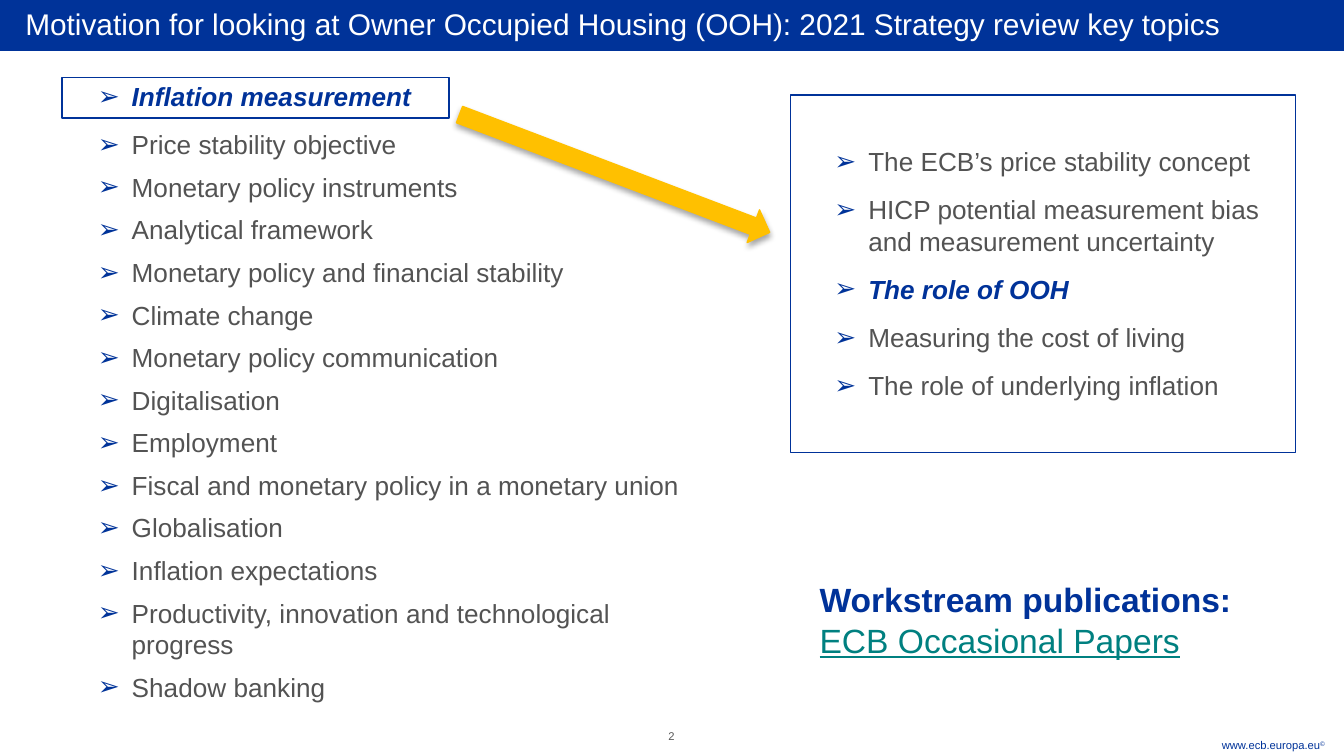
from dataclasses import dataclass

from lxml.etree import SubElement
from pptx import Presentation
from pptx.dml.color import RGBColor
from pptx.enum.shapes import MSO_SHAPE
from pptx.enum.text import MSO_ANCHOR, PP_ALIGN
from pptx.oxml.ns import qn
from pptx.util import Cm, Pt

COLORS = {
    "blue": "003399",
    "navy": "003299",
    "grey": "535353",
    "page": "585858",
    "white": "FFFFFF",
    "gold": "FFC000",
    "teal": "008080",
    "black": "000000",
}
FONT = "Arial"


@dataclass
class Box:
    left: float
    top: float
    width: float
    height: float


@dataclass
class Item:
    text: str
    key: bool = False
    after: float = 3


def rgb(name: str) -> RGBColor:
    return RGBColor.from_string(COLORS[name])


def place(box: Box) -> tuple:
    return Cm(box.left), Cm(box.top), Cm(box.width), Cm(box.height)


def add_run(para, text: str, size: float, color: str,
            bold: bool = False, slant: bool = False):
    run = para.add_run()
    run.text = text
    font = run.font
    font.name, font.size = FONT, Pt(size)
    font.bold, font.italic = bold, slant
    font.color.rgb = rgb(color)
    return run


def add_box(slide, box: Box, pad: tuple = (0, 0)):
    """Add a wrapped text box; pad is (side, top and bottom) in cm."""
    frame = slide.shapes.add_textbox(*place(box)).text_frame
    frame.word_wrap = True
    frame.vertical_anchor = MSO_ANCHOR.TOP
    frame.margin_left = frame.margin_right = Cm(pad[0])
    frame.margin_top = frame.margin_bottom = Cm(pad[1])
    return frame


def add_form(slide, kind, box: Box, line: str, fill: str | None = None):
    form = slide.shapes.add_shape(kind, *place(box))
    form.shadow.inherit = False
    if fill:
        form.fill.solid()
        form.fill.fore_color.rgb = rgb(fill)
    else:
        form.fill.background()
    form.line.color.rgb = rgb(line)
    form.line.width = Pt(0.75)
    return form


def add_list(frame, items: list[Item]) -> None:
    for i, item in enumerate(items):
        para = frame.add_paragraph() if i else frame.paragraphs[0]
        para.alignment = PP_ALIGN.LEFT
        props = para._p.get_or_add_pPr()
        props.set("marL", str(Cm(1.47)))
        props.set("indent", str(Cm(-0.64)))
        tint = SubElement(props, qn("a:buClr"))
        SubElement(tint, qn("a:srgbClr"), val=COLORS["blue"])
        SubElement(props, qn("a:buFont"), typeface=FONT)
        SubElement(props, qn("a:buChar"), char="➢")
        if i:
            para.space_before = Pt(3)
        para.space_after = Pt(item.after)
        color = "navy" if item.key else "grey"
        add_run(para, item.text, 14, color, item.key, item.key)


def add_shade(form) -> None:
    """Give the form a soft shadow below it."""
    glow = form._element.spPr.find(qn("a:effectLst"))
    shade = SubElement(glow, qn("a:outerShdw"), blurRad=str(Pt(3.1)),
                       dist=str(Pt(1.8)), dir="5400000", rotWithShape="0")
    tint = SubElement(shade, qn("a:srgbClr"), val=COLORS["black"])
    SubElement(tint, qn("a:alpha"), val="35000")


TOPICS = [Item("Inflation measurement", True, 6)] + [Item(text) for text in (
    "Price stability objective",
    "Monetary policy instruments",
    "Analytical framework",
    "Monetary policy and financial stability",
    "Climate change",
    "Monetary policy communication",
    "Digitalisation",
    "Employment",
    "Fiscal and monetary policy in a monetary union",
    "Globalisation",
    "Inflation expectations",
    "Productivity, innovation and technological progress",
    "Shadow banking",
)]
POINTS = [
    Item("The ECB’s price stability concept", after=6),
    Item("HICP potential measurement bias and measurement uncertainty", after=6),
    Item("The role of OOH", True, 6),
    Item("Measuring the cost of living", after=6),
    Item("The role of underlying inflation", after=6),
]


def main() -> None:
    deck = Presentation()
    deck.slide_width, deck.slide_height = Cm(25.4), Cm(14.29)
    slide = deck.slides.add_slide(deck.slide_layouts[6])

    # Title bar
    add_form(slide, MSO_SHAPE.RECTANGLE, Box(0, 0, 25.4, 0.95), "blue", "blue")
    title = add_box(slide, Box(0.48, 0.1, 23.4, 0.76))
    add_run(title.paragraphs[0], "Motivation for looking at Owner Occupied "
            "Housing (OOH): 2021 Strategy review key topics", 16, "white")

    # Review topics, the first one framed
    add_list(add_box(slide, Box(1.02, 1.52, 11.96, 9.3)), TOPICS)
    add_form(slide, MSO_SHAPE.RECTANGLE, Box(1.17, 1.47, 7.32, 0.76), "blue")

    # Framed points on inflation measurement
    panel = Box(14.94, 1.8, 9.55, 6.76)
    add_form(slide, MSO_SHAPE.RECTANGLE, panel, "navy")
    add_list(add_box(slide, panel, (0, 0.95)), POINTS)

    # Arrow from topic to points
    arrow = add_form(slide, MSO_SHAPE.RIGHT_ARROW,
                     Box(8.48, 2.95, 6.27, 0.66), "gold", "gold")
    arrow.rotation = 20.8
    add_shade(arrow)

    # Publications
    papers = add_box(slide, Box(15.24, 10.82, 8.97, 1.8), (0.25, 0.13))
    para = papers.paragraphs[0]
    add_run(para, "Workstream publications: ", 18, "navy", True)
    add_run(para, "ECB Occasional Papers", 18, "teal").font.underline = True

    # Page number and web address
    para = add_box(slide, Box(12.12, 13.79, 1.14, 0.5)).paragraphs[0]
    para.alignment = PP_ALIGN.CENTER
    add_run(para, "2", 6, "page")
    para = add_box(slide, Box(18.72, 13.79, 6.32, 0.38)).paragraphs[0]
    para.alignment = PP_ALIGN.RIGHT
    para.line_spacing = Pt(12)
    add_run(para, "www.ecb.europa.eu", 6, "blue")
    mark = add_run(para, "©", 6, "blue")
    mark.font._element.set("baseline", "30000")

    deck.save("out.pptx")


if __name__ == "__main__":
    main()
